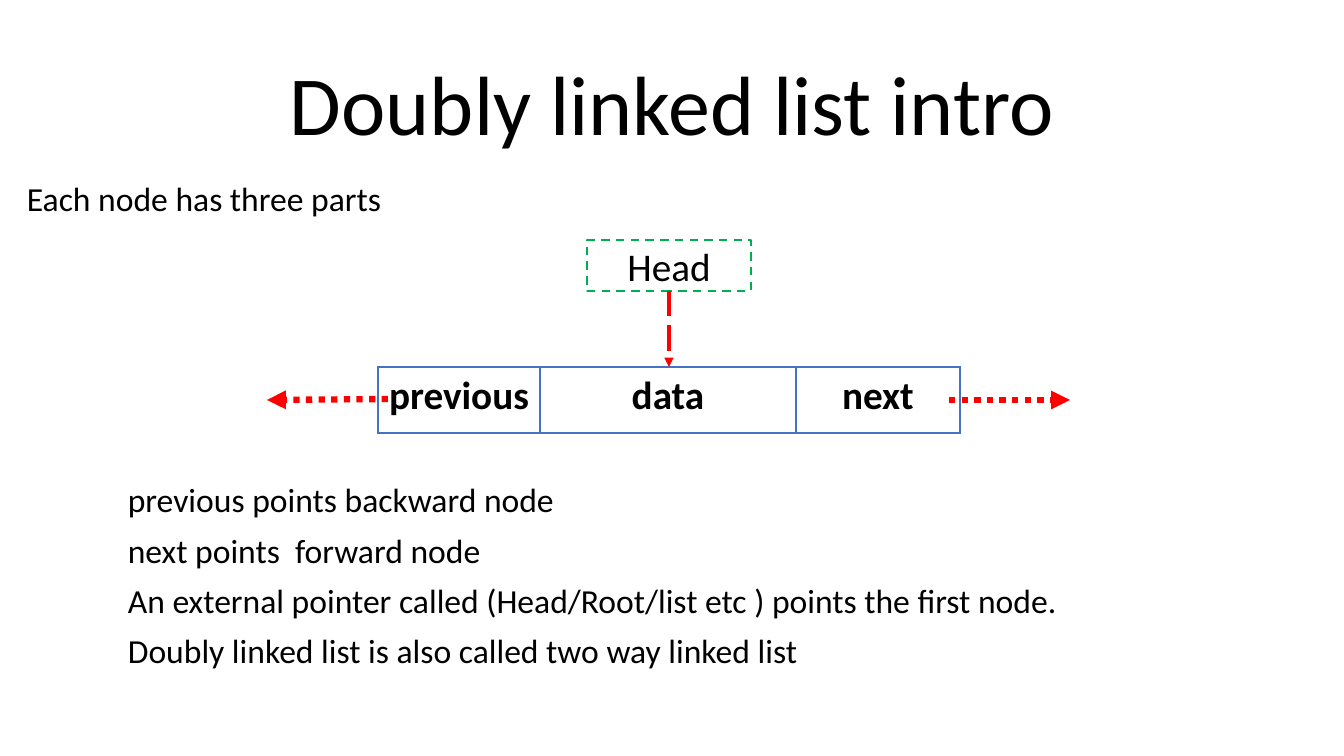
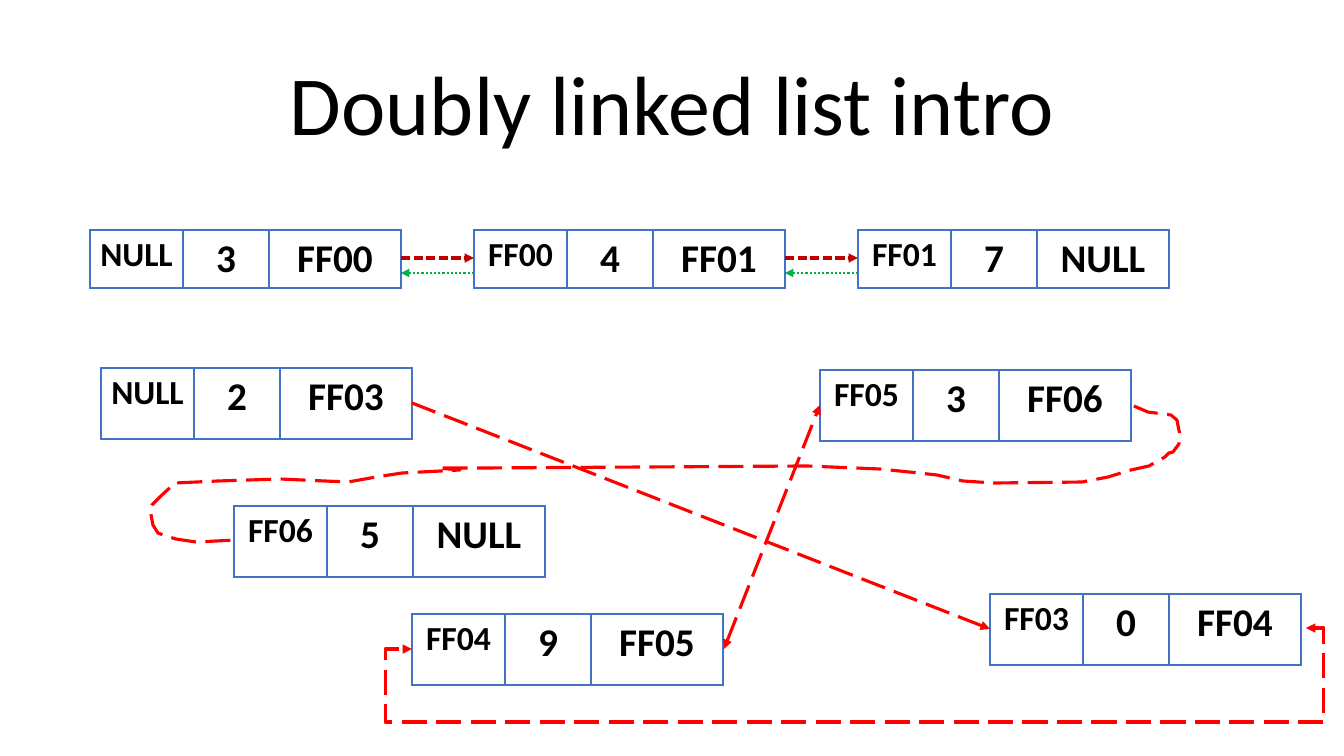
from pptx import Presentation
from pptx.dml.color import RGBColor as Rgb
from pptx.enum.dml import MSO_LINE as Dash
from pptx.enum.shapes import MSO_CONNECTOR as Link, MSO_SHAPE as Shape
from pptx.enum.text import MSO_ANCHOR as Anchor, MSO_AUTO_SIZE as Fit, PP_ALIGN as Align
from pptx.oxml.ns import qn
from pptx.util import Emu, Pt
from lxml.etree import SubElement as Sub

PX = 914400 / 100.8
FONT = "Calibri"
HUES = {"ink": "000000", "paper": "FFFFFF", "edge": "4472C4",
        "red": "FF0000", "dark": "C00000", "green": "00B050"}
TITLE = "Doubly linked list intro"
TITLE_BOX = (168, 31, 1008, 128)
COLS = (93, 86, 132)
WIDTH = sum(COLS)
SIZES = (24, 28, 28)

# Line styles: colour, points, dash
DOTS = ("red", 4.5, Dash.ROUND_DOT)
LONG = ("red", 2.25, Dash.LONG_DASH)
NEXT = ("dark", 2.25, Dash.SQUARE_DOT)
BACK = ("green", 1.5, Dash.ROUND_DOT)
FRAME = ("green", 1.5, Dash.DASH)

NOTES = ["previous points backward node",
         "next points  forward node",
         "An external pointer called (Head/Root/list etc ) points the first node.",
         "Doubly linked list is also called two way linked list"]
CHAIN = [("NULL", "3", "FF00"), ("FF00", "4", "FF01"), ("FF01", "7", "NULL")]
NODES = [(101, 368, ("NULL", "2", "FF03")), (990, 594, ("FF03", "0", "FF04")),
         (412, 614, ("FF04", "9", "FF05")), (820, 370, ("FF05", "3", "FF06")),
         (234, 506, ("FF06", "5", "NULL"))]
LOOP = [(1134, 406), (1148, 412), (1171, 415), (1177, 420), (1180, 435),
        (1179, 444), (1173, 452), (1169, 453), (1165, 457), (1149, 466),
        (1131, 470), (1108, 477), (1082, 482), (994, 483), (963, 481),
        (937, 475), (919, 473), (880, 469), (807, 466), (482, 468),
        (438, 468), (460, 470), (402, 473), (376, 477), (348, 482),
        (280, 479), (218, 481), (175, 483), (162, 495), (152, 505),
        (150, 509), (153, 525), (158, 533), (166, 536), (176, 539),
        (196, 542), (236, 540)]


def px(*nums):
    """Turn pixels into EMU."""
    return [Emu(round(n * PX)) for n in nums]


def hue(name):
    """Look up a colour."""
    return Rgb.from_string(HUES[name])


def put(item, **vals):
    """Set attributes from format values."""
    for key, val in vals.items():
        setattr(item, key, val)


def write(frame, lines, size, para=None, bold=False, **vals):
    """Fill a text frame with formatted paragraphs."""
    put(frame, word_wrap=True, **vals)
    for i, line in enumerate(lines):
        par = frame.add_paragraph() if i else frame.paragraphs[0]
        put(par, **(para or {}))
        run = par.add_run()
        run.text = line
        put(run.font, name=FONT, size=Pt(size), bold=bold)
        run.font.color.rgb = hue("ink")


def stroke(shape, style, ends=()):
    """Style a line and add its arrowheads."""
    tint, width, dash = style
    line = shape.line
    line.color.rgb = hue(tint)
    put(line, width=Pt(width), dash_style=dash)
    ln = shape.element.spPr.find(qn("a:ln"))
    for end in ends:
        Sub(ln, qn(f"a:{end}"), type="triangle")


def arrow(slide, start, stop, style, both=False, kind=Link.STRAIGHT):
    """Draw an arrow between two points."""
    link = slide.shapes.add_connector(kind, *px(*start, *stop))
    stroke(link, style, ("headEnd", "tailEnd") if both else ("tailEnd",))
    Sub(link.element.spPr, qn("a:effectLst"))
    return link


def bend(link, *turns):
    """Give an elbow arrow four turns."""
    geom = link.element.spPr.find(qn("a:prstGeom"))
    geom.set("prst", "bentConnector5")
    guides = geom.find(qn("a:avLst"))
    for i, turn in enumerate(turns, 1):
        Sub(guides, qn("a:gd"), name=f"adj{i}", fmla=f"val {round(turn * 100000)}")


def rim(cell):
    """Outline a table cell."""
    props = cell._tc.get_or_add_tcPr()
    for side, width in zip("LRTB", (1, 1, 1, 2)):
        ln = Sub(props, qn(f"a:ln{side}"), w=str(Pt(width)))
        Sub(Sub(ln, qn("a:solidFill")), qn("a:srgbClr"), val=HUES["edge"])
    cell.fill.background()


def node(slide, left, top, high, words, cols=COLS, sizes=SIZES):
    """Draw a list node as a one-row table."""
    table = slide.shapes.add_table(
        1, len(cols), *px(left, top, sum(cols), high)).table
    put(table, first_row=False, horz_banding=False)
    table.rows[0].height = px(high)[0]
    pad = px(4)[0]
    for i, (wide, word, size) in enumerate(zip(cols, words, sizes)):
        table.columns[i].width = px(wide)[0]
        cell = table.cell(0, i)
        put(cell, margin_left=pad, margin_right=pad)
        write(cell.text_frame, [word], size, {"alignment": Align.CENTER}, True)
        rim(cell)


def page(deck):
    """Add a slide with the shared title."""
    slide = deck.slides.add_slide(deck.slide_layouts[5])
    head = slide.shapes.title
    put(head, **dict(zip(("left", "top", "width", "height"), px(*TITLE_BOX))))
    write(head.text_frame, [TITLE], 60,
          {"alignment": Align.CENTER, "line_spacing": 0.9},
          auto_size=Fit.NONE, vertical_anchor=Anchor.BOTTOM)
    return slide


def prose(slide, box, lines):
    """Place body text."""
    area = slide.shapes.add_textbox(*px(*box))
    write(area.text_frame, lines, 24,
          {"line_spacing": 0.9, "space_before": Pt(10)})


def label(slide, box, word):
    """Draw the dashed pointer box."""
    rect = slide.shapes.add_shape(Shape.RECTANGLE, *px(*box))
    rect.shadow.inherit = False
    rect.fill.solid()
    rect.fill.fore_color.rgb = hue("paper")
    stroke(rect, FRAME)
    write(rect.text_frame, [word], 28, {"alignment": Align.CENTER},
          vertical_anchor=Anchor.MIDDLE)


def curve(slide, spots):
    """Draw an open dashed path."""
    pen = slide.shapes.build_freeform(*spots[0], scale=PX)
    pen.add_line_segments(spots[1:], close=False)
    path = pen.convert_to_shape()
    path.shadow.inherit = False
    path.fill.background()
    stroke(path, LONG)


def parts(deck):
    """Build the slide on the parts of a node."""
    slide = page(deck)
    prose(slide, (17, 178, 1304, 50), ["Each node has three parts"])
    prose(slide, (118, 479, 1203, 220), NOTES)
    node(slide, 378, 367, 66, ("previous", "data", "next"),
         (162, 256, 164), (28, 28, 28))
    arrow(slide, (388, 399), (267, 400), DOTS)
    arrow(slide, (949, 400), (1070, 400), DOTS)
    label(slide, (587, 240, 164, 51), "Head")
    arrow(slide, (669, 291), (669, 367), LONG)


def chain(slide, left, top, gap):
    """Draw evenly spaced nodes linked both ways."""
    for i, words in enumerate(CHAIN):
        x = left + i * (WIDTH + gap)
        node(slide, x, top, 58, words)
        if i:
            arrow(slide, (x - gap, top + 28), (x, top + 28), NEXT)
            arrow(slide, (x, top + 43), (x - gap, top + 43), BACK)


def links(deck):
    """Build the slide on linked nodes."""
    slide = page(deck)
    chain(slide, 90, 230, 73)
    for left, top, words in NODES:
        node(slide, left, top, 71, words)
    arrow(slide, (412, 403), (990, 629), LONG)
    bend(arrow(slide, (1306, 628), (412, 649), LONG, True, Link.ELBOW),
         -0.02, 4.48, 1.03)
    arrow(slide, (724, 649), (820, 405), LONG, True)
    curve(slide, LOOP)


deck = Presentation()
put(deck, **dict(zip(("slide_width", "slide_height"), px(1344, 756))))
parts(deck)
links(deck)
deck.save("out.pptx")
